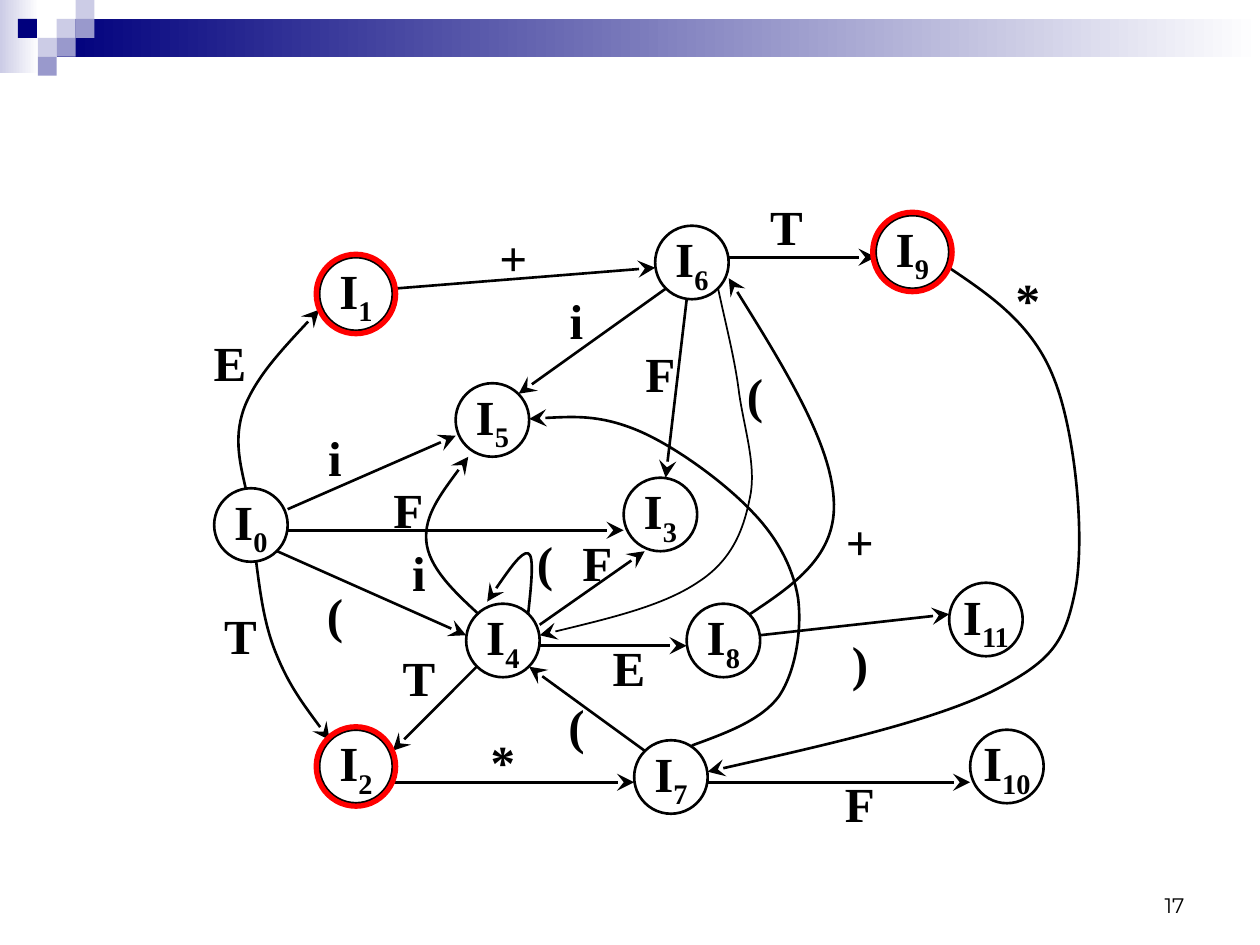
from lxml import etree
from pptx import Presentation
from pptx.dml.color import RGBColor
from pptx.enum.shapes import MSO_CONNECTOR, MSO_SHAPE
from pptx.enum.text import MSO_ANCHOR, PP_ALIGN
from pptx.oxml.ns import qn
from pptx.util import Pt

RECT, OVAL, STRAIGHT = MSO_SHAPE.RECTANGLE, MSO_SHAPE.OVAL, MSO_CONNECTOR.STRAIGHT
CENTER, RIGHT = PP_ALIGN.CENTER, PP_ALIGN.RIGHT
MIDDLE, BOTTOM = MSO_ANCHOR.MIDDLE, MSO_ANCHOR.BOTTOM

THEME = {
    "ink": "000000", "ring": "FF0000", "navy": "00007D", "lilac": "9999CC",
    "pale": "CCCCE6", "white": "FFFFFF",
    "graph_font": "Times New Roman", "number_font": "Montserrat",
    "graph_size": 28, "number_size": 12,
    "line": 1.5, "thin_line": 1, "ring_line": 3,
}

SQUARE = 10.8
BANDS = [
    (0, 0, 22.3, 41.8, "pale"),
    (3 * SQUARE, SQUARE, 720 - 3 * SQUARE, 2 * SQUARE, "navy"),
]
SQUARES = [
    (3, 1, "pale"), (4, 0, "pale"), (4, 1, "lilac"), (2, 2, "pale"),
    (0.95, 1, "navy"), (3, 2, "lilac"), (2, 3, "lilac"),
]

# Graph coordinates are (column, row) on a 6-point grid.
STEP, GRID_LEFT, GRID_TOP = 6, 122.4, 123
NODE_SIZE, RING_MARGIN = 42, 1.7
STATES = [
    (0, 26), (10, 4), (10, 49), (39, 25), (24, 37), (23, 16),
    (42, 1), (40, 50), (45, 37), (63, 0), (72, 49), (70, 35),
]
RINGED_STATES = [1, 2, 9]
STRAIGHT_EDGES = [
    ((7, 28), (23, 21)), ((7, 30), (39, 30)), ((6, 32), (24, 40)),
    ((25, 43), (17, 51)), ((41, 51), (30, 43)), ((17, 54), (40, 54)),
    ((47, 54), (72, 54)), ((17, 7), (42, 5)), ((49, 4), (63, 4)),
    ((31, 39), (41, 32)), ((31, 41), (45, 41)), ((43, 7), (29, 17)),
    ((45, 8), (43, 25)), ((52, 40), (70, 38)),
]
CURVED_EDGES = [
    ("line", [(3, 26), (2.4, 23.4), (1.8, 20.9), (3, 18),
              (4.2, 15.2), (7.1, 12.1), (10, 9)]),
    ("line", [(4, 33), (4.4, 36.1), (4.8, 39.2), (6, 42),
              (7.2, 44.9), (9.1, 47.4), (11, 50)]),
    ("line", [(25.2, 38), (22.8, 35.8), (20.4, 33.5), (20.2, 31),
              (20, 28.6), (22.1, 25.8), (24.2, 23)]),
    ("line", [(29.9, 38), (30.2, 35.2), (30.5, 32.4), (29.9, 32.2),
              (29.3, 32), (27.6, 34.4), (26, 36.8)]),
    ("line", [(45.5, 50.5), (48.8, 49.3), (52.1, 48.1), (53.8, 45.8),
              (55.4, 43.4), (56, 39.4), (55.6, 36.4),
              (55.1, 33.5), (53.6, 30.6), (51, 28),
              (48.4, 25.3), (43.6, 21.8), (40.1, 20.4),
              (36.6, 19), (33.2, 19.2), (30, 19.4)]),
    ("line", [(51, 38), (55.2, 35.2), (59.4, 32.4), (59, 27),
              (58.7, 21.7), (53.9, 13.8), (49, 6)]),
    ("line", [(70, 5), (74, 7.7), (78, 10.4), (80, 15.6),
              (82, 20.6), (83, 30.7), (82, 35.8),
              (81, 40.7), (79.8, 42.5), (74, 45.4),
              (68.2, 48.2), (57.6, 50.6), (47, 53)]),
    ("thin_line", [(48, 7), (48.7, 10.3), (49.6, 13.7), (50, 17),
                   (50.5, 20.4), (51.7, 24), (51, 27),
                   (50.4, 30), (49.3, 32.9), (46, 35),
                   (42.7, 37.2), (36.8, 38.6), (31, 40)]),
]
LABELS = [
    ("E", -2, 11, 6), ("+", 25, 1, 6), ("T", 51, -2, 6), ("*", 74, 5, 6),
    ("T", -1, 37, 6), ("T", 16, 41, 6), ("i", 8, 20, 6), ("F", 15, 25, 6),
    ("(", 8, 35, 6), ("i", 16, 31, 6), ("(", 28, 30, 6), ("F", 33, 30, 6),
    ("E", 36, 40, 6), ("(", 48, 14, 6), ("F", 39, 12, 6), ("i", 31, 7, 6),
    ("+", 58, 28, 6), ("F", 58, 53, 6), ("*", 24, 50, 4), ("(", 31, 46, 5),
    (")", 58, 40, 5),
]
SLIDE_NUMBER = "17"


def color(name):
    return RGBColor.from_string(THEME[name])


def grid(col, row):
    return GRID_LEFT + STEP * col, GRID_TOP + STEP * row


def write(s, text, sub="", font="graph_font", size="graph_size", bold=True,
          align=CENTER, anchor=MIDDLE, wrap=False):
    tf = s.text_frame
    tf.word_wrap, tf.vertical_anchor = wrap, anchor
    p = tf.paragraphs[0]
    p.alignment = align
    for part in filter(None, (text, sub)):
        r = p.add_run()
        r.text = part
        r.font.name, r.font.size, r.font.bold = THEME[font], Pt(THEME[size]), bold
        r.font.color.rgb = color("ink")
    if sub:
        r.font._element.set("baseline", "-25000")


def add_box(kind, x, y, w, h):
    s = slide.shapes.add_shape(kind, Pt(x), Pt(y), Pt(w), Pt(h))
    s.shadow.inherit = False
    return s


def add_block(x, y, w, h, fill, fade=False):
    s = add_box(RECT, x, y, w, h)
    s.line.fill.background()
    if fade:
        s.fill.gradient()
        s.fill.gradient_angle = 0
        for stop, name in zip(s.fill.gradient_stops, (fill, "white")):
            stop.color.rgb = color(name)
    else:
        s.fill.solid()
        s.fill.fore_color.rgb = color(fill)


def add_circle(x, y, size, ink="ink", width="line"):
    s = add_box(OVAL, x, y, size, size)
    s.fill.background()
    outline(s, ink, width)
    return s


def outline(s, ink="ink", width="line", arrow=False):
    s.line.color.rgb = color(ink)
    s.line.width = Pt(THEME[width])
    if arrow:
        etree.SubElement(s.line._get_or_add_ln(), qn("a:tailEnd"),
                         type="stealth", w="lg", len="lg")


def add_straight_edge(start, end):
    s = slide.shapes.add_connector(
        STRAIGHT, *(Pt(v) for v in grid(*start) + grid(*end)))
    outline(s, arrow=True)
    etree.SubElement(s._element.spPr, qn("a:effectLst"))


def add_curved_edge(width, points):
    start, *rest = [tuple(Pt(v) for v in grid(*point)) for point in points]
    builder = slide.shapes.build_freeform(*start)
    builder.add_line_segments(rest, close=False)
    s = builder.convert_to_shape()
    s.shadow.inherit = False
    s.fill.background()
    outline(s, width=width, arrow=True)
    path = s._element.find(".//" + qn("a:path"))
    segments = path.findall(qn("a:lnTo"))
    for i in range(0, len(segments), 3):
        curve = etree.SubElement(path, qn("a:cubicBezTo"))
        for segment in segments[i:i + 3]:
            curve.append(segment[0])
            path.remove(segment)


prs = Presentation()
prs.slide_width, prs.slide_height = Pt(720), Pt(540)
slide = prs.slides.add_slide(prs.slide_layouts[6])

for band in BANDS:
    add_block(*band, fade=True)
for col, row, fill in SQUARES:
    add_block(col * SQUARE, row * SQUARE, SQUARE, SQUARE, fill)

number = slide.shapes.add_textbox(Pt(516), Pt(492), Pt(168), Pt(36))
write(number, SLIDE_NUMBER, font="number_font", size="number_size", bold=False,
      align=RIGHT, anchor=BOTTOM, wrap=True)

for index, state in enumerate(STATES):
    write(add_circle(*grid(*state), NODE_SIZE), "I", sub=str(index))
for edge in STRAIGHT_EDGES:
    add_straight_edge(*edge)
for edge in CURVED_EDGES:
    add_curved_edge(*edge)
for text, col, row, rows in LABELS:
    x, y = grid(col, row)
    write(slide.shapes.add_textbox(Pt(x), Pt(y), Pt(NODE_SIZE), Pt(rows * STEP)), text)
for index in RINGED_STATES:
    x, y = grid(*STATES[index])
    add_circle(x - RING_MARGIN, y - RING_MARGIN, NODE_SIZE + 2 * RING_MARGIN,
               ink="ring", width="ring_line")

prs.save("out.pptx")
